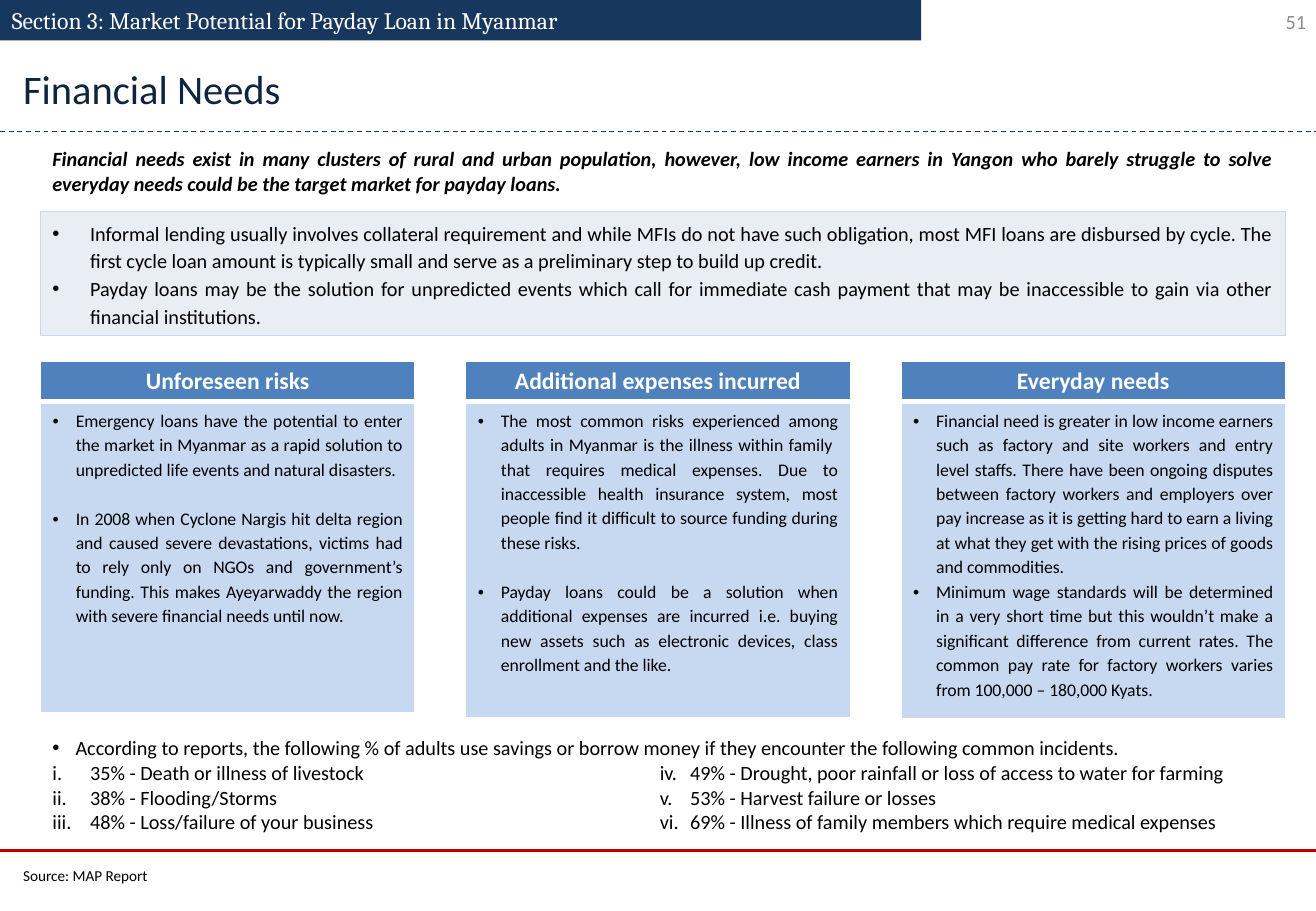
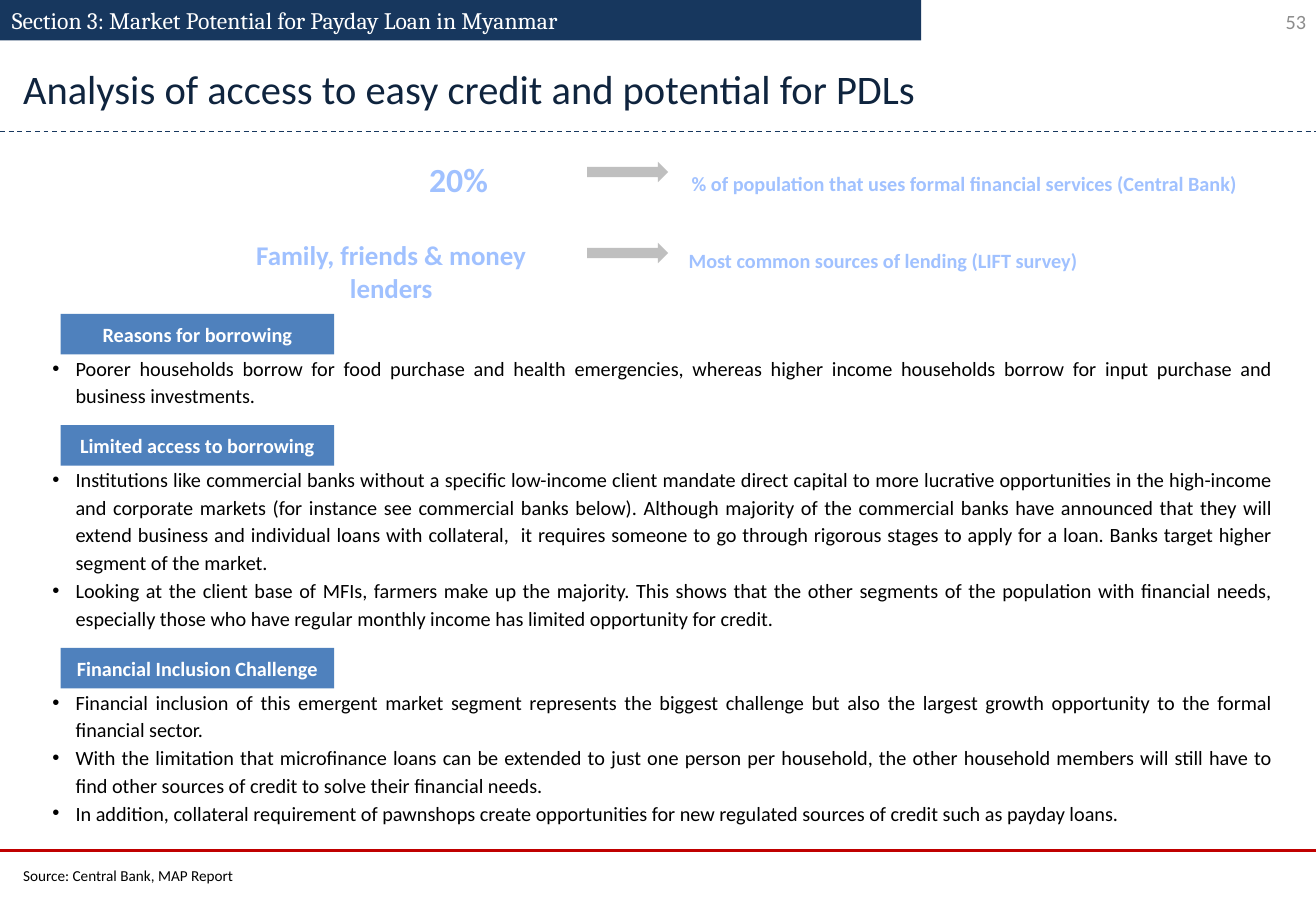
from dataclasses import dataclass

from lxml import etree
from pptx import Presentation
from pptx.dml.color import RGBColor
from pptx.enum.dml import MSO_LINE
from pptx.enum.shapes import MSO_CONNECTOR, MSO_SHAPE
from pptx.enum.text import MSO_ANCHOR, PP_ALIGN
from pptx.oxml.ns import qn
from pptx.util import Inches, Pt

LEFT, CENTER, RIGHT, JUSTIFY = PP_ALIGN.LEFT, PP_ALIGN.CENTER, PP_ALIGN.RIGHT, PP_ALIGN.JUSTIFY
TOP, MIDDLE = MSO_ANCHOR.TOP, MSO_ANCHOR.MIDDLE
RECT, ARROW = MSO_SHAPE.RECTANGLE, MSO_SHAPE.RIGHT_ARROW
STRAIGHT, DASH = MSO_CONNECTOR.STRAIGHT, MSO_LINE.DASH

# The slide is a grid of cells, twelve to the inch.
COLS, ROWS, PER_INCH = 130, 90, 12
MARGIN, FULL = 4, 123

NAVY, TITLE_INK, RED, BLUE = "17375E", "0F243E", "C00000", "4F81BD"
PALE, MIST, SKY = "C6D9F1", "E9EDF4", "A0C1FF"
GREY, ARROW_GREY, WHITE, BLACK = "8C8C8C", "BFBFBF", "FFFFFF", "000000"

SECTION = "Section 3: Market Potential for Payday Loan in Myanmar"


@dataclass(frozen=True)
class Box:
    col: float
    row: float
    width: float
    height: float

    def emu(self) -> tuple:
        return tuple(cells(n) for n in (self.col, self.row, self.width, self.height))


@dataclass(frozen=True)
class Style:
    size: float = 12
    color: str = BLACK
    bold: bool = False
    italic: bool = False
    name: str = "Calibri"
    align: PP_ALIGN = LEFT
    spacing: float = 1.0
    gap: float = 0
    indent: float = 0
    bullet: str = ""
    start: int = 1


@dataclass(frozen=True)
class Card:
    col: float
    width: float
    height: float
    heading: str
    points: tuple
    gap: float = 0


@dataclass(frozen=True)
class Fact:
    arrow_row: float
    figure: str
    figure_box: Box
    size: float
    label: str
    label_box: Box


@dataclass(frozen=True)
class Topic:
    row: float
    heading: str
    points: tuple


BULLETS = Style(align=JUSTIFY, spacing=1.14, indent=0.19, bullet="•")
WIDE_BULLETS = Style(align=JUSTIFY, spacing=1.14, indent=0.31, bullet="•")
TAG = Style(color=WHITE, bold=True, align=CENTER)

CARDS = (
    Card(4, 37, 30.8, "Unforeseen risks", (
        "Emergency loans have the potential to enter the market in Myanmar as a rapid solution to "
        "unpredicted life events and natural disasters.",
        "In 2008 when Cyclone Nargis hit delta region and caused severe devastations, victims had to "
        "rely only on NGOs and government’s funding. This makes Ayeyarwaddy the region with severe "
        "financial needs until now."), gap=14.5),
    Card(46, 38, 31.2, "Additional expenses incurred", (
        "The most common risks experienced among adults in Myanmar is the illness within family  that "
        "requires medical expenses. Due to inaccessible health insurance system, most people find it "
        "difficult to source funding during these risks.",
        "Payday loans could be a solution when additional expenses are incurred i.e. buying new assets "
        "such as electronic devices, class enrollment and the like."), gap=14.5),
    Card(89, 38, 31.3, "Everyday needs", (
        "Financial need is greater in low income earners such as factory and site workers and entry "
        "level staffs. There have been ongoing disputes between factory workers and employers over pay "
        "increase as it is getting hard to earn a living at what they get with the rising prices of "
        "goods and commodities.",
        "Minimum wage standards will be determined in a very short time but this wouldn’t make a "
        "significant difference from current rates. The common pay rate for factory workers varies "
        "from 100,000 – 180,000 Kyats.")),
)

CALLOUT = (
    "Informal lending usually involves collateral requirement and while MFIs do not have such "
    "obligation, most MFI loans are disbursed by cycle. The first cycle loan amount is typically small "
    "and serve as a preliminary step to build up credit.",
    "Payday loans may be the solution for unpredicted events which call for immediate cash payment that "
    "may be inaccessible to gain via other financial institutions.",
)

INCIDENTS = (
    "35% - Death or illness of livestock",
    "38% - Flooding/Storms",
    "48% - Loss/failure of your business",
    "49% - Drought, poor rainfall or loss of access to water for farming",
    "53% - Harvest failure or losses",
    "69% - Illness of family members which require medical expenses",
)

FACTS = (
    Fact(16, "20%", Box(40.3, 15.1, 10, 5), 20,
         "% of population that uses formal financial services (Central Bank)",
         Box(67.15, 16.35, 60, 3.6)),
    Fact(24, "Family, friends & money lenders", Box(20, 23, 37.3, 7.7), 16,
         "Most common sources of lending (LIFT survey)", Box(66.85, 23.9, 60, 3.6)),
)

TOPICS = (
    Topic(31, "Reasons for borrowing", (
        "Poorer households borrow for food purchase and health emergencies, whereas higher income "
        "households borrow for input purchase and business investments.",)),
    Topic(42, "Limited access to borrowing", (
        "Institutions like commercial banks without a specific low-income client mandate direct capital "
        "to more lucrative opportunities in the high-income and corporate markets (for instance see "
        "commercial banks below). Although majority of the commercial banks have announced that they "
        "will extend business and individual loans with collateral,  it requires someone to go through "
        "rigorous stages to apply for a loan. Banks target higher segment of the market.",
        "Looking at the client base of MFIs, farmers make up the majority. This shows that the other "
        "segments of the population with financial needs, especially those who have regular monthly "
        "income has limited opportunity for credit.")),
    Topic(64, "Financial Inclusion Challenge", (
        "Financial inclusion of this emergent market segment represents the biggest challenge but also "
        "the largest growth opportunity to the formal financial sector.",
        "With the limitation that microfinance loans can be extended to just one person per household, "
        "the other household members will still have to find other sources of credit to solve their "
        "financial needs.",
        "In addition, collateral requirement of pawnshops create opportunities for new regulated sources "
        "of credit such as payday loans.")),
)


def cells(n: float) -> int:
    return Inches(n / PER_INCH)


def rgb(value: str) -> RGBColor:
    return RGBColor.from_string(value)


def add_bullet(p, style: Style) -> None:
    """Give a paragraph a hanging bullet: a sign, or a numbering scheme such as romanLcPeriod."""
    pPr = p._p.get_or_add_pPr()
    pPr.set("marL", str(Inches(style.indent)))
    pPr.set("indent", str(-Inches(style.indent)))
    if style.bullet == "•":
        etree.SubElement(pPr, qn("a:buFont"), typeface="Arial")
        etree.SubElement(pPr, qn("a:buChar"), char=style.bullet)
    else:
        etree.SubElement(pPr, qn("a:buAutoNum"), type=style.bullet, startAt=str(style.start))


def write(tf, texts: tuple, style: Style, anchor: MSO_ANCHOR = TOP) -> None:
    tf.word_wrap = True
    tf.vertical_anchor = anchor
    for i, text in enumerate(texts):
        p = tf.add_paragraph() if i else tf.paragraphs[0]
        p.alignment, p.line_spacing = style.align, style.spacing
        if i and style.gap:
            p.space_before = Pt(style.gap)
        if style.bullet:
            add_bullet(p, style)
        r = p.add_run()
        r.text = text
        fmt = {"name": style.name, "size": Pt(style.size), "bold": style.bold, "italic": style.italic}
        for key, value in fmt.items():
            setattr(r.font, key, value)
        r.font.color.rgb = rgb(style.color)


def add_text(s, box: Box, style: Style, *texts: str, anchor: MSO_ANCHOR = TOP) -> None:
    write(s.shapes.add_textbox(*box.emu()).text_frame, texts, style, anchor)


def add_block(s, box: Box, fill: str, kind: MSO_SHAPE = RECT, line: str = ""):
    sp = s.shapes.add_shape(kind, *box.emu())
    sp.shadow.inherit = False
    sp.fill.solid()
    sp.fill.fore_color.rgb = rgb(fill)
    if line:
        sp.line.color.rgb, sp.line.width = rgb(line), Pt(0.75)
    else:
        sp.line.fill.background()
    return sp


def add_rule(s, row: float, color: str, width: float, dash=None) -> None:
    """Draw a line across the whole slide."""
    c = s.shapes.add_connector(STRAIGHT, 0, cells(row), cells(COLS), cells(row))
    c.line.color.rgb, c.line.width, c.line.dash_style = rgb(color), Pt(width), dash
    etree.SubElement(c._element.spPr, qn("a:effectLst"))


def style_cell(cell, fill: str, bottom: float) -> None:
    """Fill a table cell and give it white borders."""
    tcPr = cell._tc.get_or_add_tcPr()
    for tag, width in {"lnL": 1, "lnR": 1, "lnT": 1, "lnB": bottom}.items():
        ln = etree.SubElement(tcPr, qn(f"a:{tag}"), w=str(Pt(width)))
        etree.SubElement(etree.SubElement(ln, qn("a:solidFill")), qn("a:srgbClr"), val=WHITE)
    cell.fill.solid()
    cell.fill.fore_color.rgb = rgb(fill)


def add_card(s, card: Card) -> None:
    head = 4
    box = Box(card.col, 35.65, card.width, head + card.height)
    table = s.shapes.add_table(2, 1, *box.emu()).table
    body = Style(size=10.5, align=JUSTIFY, spacing=1.14, indent=0.19, bullet="•", gap=card.gap)
    heading = Style(size=14, color=WHITE, bold=True, align=CENTER)
    rows = ((head, BLUE, 3, (card.heading,), heading), (card.height, PALE, 1, card.points, body))
    for i, (height, fill, bottom, texts, style) in enumerate(rows):
        table.rows[i].height = cells(height)
        cell = table.cell(i, 0)
        style_cell(cell, fill, bottom)
        write(cell.text_frame, texts, style)


def add_frame(prs, title: str, source: str, number: int):
    """Add a slide with the section band, title, rules, source and page number."""
    s = prs.slides.add_slide(prs.slide_layouts[6])
    add_text(s, Box(100, -0.25, 30.2, 4.8), Style(color=GREY, align=RIGHT), str(number), anchor=MIDDLE)
    add_rule(s, 84, RED, 1.5)
    add_block(s, Box(0, 0, 91, 4), NAVY)
    add_rule(s, 13, NAVY, 0.75, DASH)
    add_text(s, Box(0, 0, 91, 4), Style(size=14, color=WHITE, name="Cambria"), SECTION)
    add_text(s, Box(1.1, 85, 93, 3), Style(size=9), source)
    add_text(s, Box(1.1, 5.75, 100, 6), Style(size=24, color=TITLE_INK), title)
    return s


def build_needs(prs) -> None:
    s = add_frame(prs, "Financial Needs", "Source: MAP Report", 51)
    add_text(s, Box(MARGIN, 13.9, FULL, 6), Style(bold=True, italic=True, align=JUSTIFY),
             "Financial needs exist in many clusters of rural and urban population, however, low income "
             "earners in Yangon who barely struggle to solve everyday needs could be the target market "
             "for payday loans.")
    callout = add_block(s, Box(MARGIN, 20.9, FULL, 12.25), MIST, line=PALE)
    write(callout.text_frame, CALLOUT, WIDE_BULLETS)
    for card in CARDS:
        add_card(s, card)
    add_text(s, Box(MARGIN, 72.1, FULL, 3.6), Style(indent=0.19, bullet="•"),
             "According to reports, the following % of adults use savings or borrow money if they "
             "encounter the following common incidents.")
    half = len(INCIDENTS) // 2
    for first, col, indent in ((0, MARGIN, 0.31), (half, 64, 0.25)):
        style = Style(indent=indent, bullet="romanLcPeriod", start=first + 1)
        add_text(s, Box(col, 74.55, 60, 8.5), style, *INCIDENTS[first:first + half])


def build_access(prs) -> None:
    s = add_frame(prs, "Analysis of access to easy credit and potential for PDLs",
                  "Source: Central Bank, MAP Report", 53)
    for fact in FACTS:
        figure = Style(size=fact.size, color=SKY, bold=True, align=CENTER)
        add_text(s, fact.figure_box, figure, fact.figure)
        add_block(s, Box(58, fact.arrow_row, 8, 2), ARROW_GREY, ARROW)
        add_text(s, fact.label_box, Style(color=SKY, bold=True), fact.label)
    for topic in TOPICS:
        tag = add_block(s, Box(6, topic.row, 27, 4), BLUE)
        write(tag.text_frame, (topic.heading,), TAG, MIDDLE)
        add_text(s, Box(MARGIN, topic.row + 3.25, FULL, 6.5), BULLETS, *topic.points)


def main() -> None:
    prs = Presentation()
    prs.slide_width, prs.slide_height = cells(COLS), cells(ROWS)
    build_needs(prs)
    build_access(prs)
    prs.save("out.pptx")


if __name__ == "__main__":
    main()
